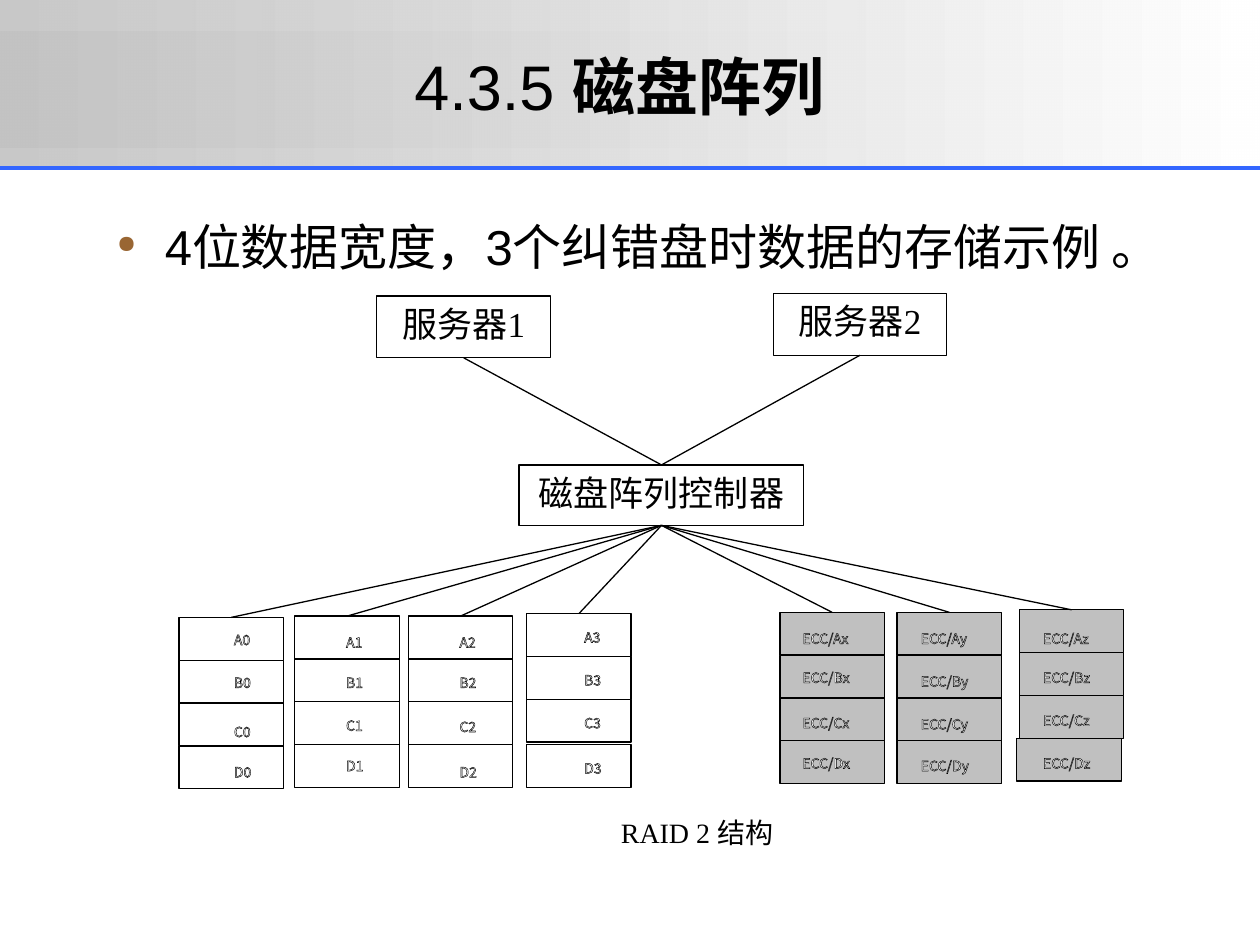
from lxml import etree
from pptx import Presentation
from pptx import util as u
from pptx.dml.color import RGBColor
from pptx.enum import shapes, text
from pptx.oxml.ns import qn

COLORS = {"ink": "000000", "paper": "FFFFFF", "gray": "C0C0C0",
          "rule": "3366FF", "bullet": "996633"}
WIDTH, HEIGHT = 10, 7.5

# Bands of the header: top, height, opacity of the gray end in percent
BANDS = [(0, 1.33, 86), (0.25, 0.92, 59)]
TITLE = [("4.3.5 ", False), ("磁盘阵列", True)]
BODY = "4位数据宽度，3个纠错盘时数据的存储示例 。"
CAPTION = "RAID 2 结构"

CONTROLLER = ("磁盘阵列控制器", (4.12, 3.69, 2.26, 0.48))
SERVERS = [("服务器1", (2.99, 2.35, 1.38, 0.49)),
           ("服务器2", (6.14, 2.33, 1.37, 0.49))]

# Disks: label pattern, fill, left, top, label centre, label tops
ROWS = "ABCD"
CELL_W, CELL_H = 0.83, 0.34
DISKS = [
    ("{}0", "paper", 1.42, 4.90, 1.87, (4.96, 5.30, 5.69, 6.01)),
    ("{}1", "paper", 2.34, 4.89, 2.76, (4.98, 5.30, 5.64, 5.96)),
    ("{}2", "paper", 3.24, 4.89, 3.66, (4.98, 5.30, 5.65, 6.01)),
    ("{}3", "paper", 4.18, 4.87, 4.65, (4.94, 5.28, 5.62, 5.98)),
    ("ECC/{}x", "gray", 6.19, 4.86, 6.60, (4.95, 5.26, 5.62, 5.94)),
    ("ECC/{}y", "gray", 7.12, 4.86, 7.54, (4.95, 5.29, 5.63, 5.96)),
    ("ECC/{}z", "gray", 8.09, 4.84, 8.51, (4.95, 5.26, 5.60, 5.94)),
]
NUDGES = {"D3": (0, 0.02), "ECC/Dz": (-0.02, 0)}


def rgb(name):
    return RGBColor.from_string(COLORS[name])


def inches(values):
    return [u.Inches(value) for value in values]


def add_child(parent, tag, **attributes):
    return etree.SubElement(parent, qn(tag), attributes)


def write(box, spans, size, face, color="ink", align=None, wrap=True, grow=False):
    """Write one paragraph of (words, bold) spans into a box."""
    frame = box.text_frame
    fit = text.MSO_AUTO_SIZE
    settings = {"word_wrap": wrap, "vertical_anchor": text.MSO_ANCHOR.TOP,
                "auto_size": fit.SHAPE_TO_FIT_TEXT if grow else fit.NONE}
    for key, value in settings.items():
        setattr(frame, key, value)
    para = frame.paragraphs[0]
    para.alignment = align or text.PP_ALIGN.LEFT
    for words, bold in spans:
        span = para.add_run()
        span.text = words
        for key, value in {"size": u.Pt(size), "name": face, "bold": bold}.items():
            setattr(span.font, key, value)
        span.font.color.rgb = rgb(color)
    return para


def add_text(page, place, spans, size, face, **options):
    return write(page.shapes.add_textbox(*inches(place)), spans, size, face, **options)


def add_rect(page, place, fill):
    box = page.shapes.add_shape(shapes.MSO_SHAPE.RECTANGLE, *inches(place))
    box.shadow.inherit = False
    box.fill.solid()
    box.fill.fore_color.rgb = rgb(fill)
    box.line.color.rgb = rgb("ink")
    box.line.width = u.Pt(0.75)
    return box


def add_line(page, start, end, color="ink", width=0.75):
    line = page.shapes.add_connector(shapes.MSO_CONNECTOR.STRAIGHT,
                                     *inches((*start, *end)))
    line.line.color.rgb = rgb(color)
    line.line.width = u.Pt(width)
    add_child(line._element.spPr, "a:effectLst")


def add_band(page, top, height, opacity):
    band = add_rect(page, (0, top, WIDTH, height), "gray")
    band.line.fill.background()
    band.fill.gradient()
    band.fill.gradient_angle = 0
    for stop, color, position in zip(band.fill.gradient_stops, ("gray", "paper"), (0, 1)):
        stop.color.rgb = rgb(color)
        stop.position = position
    first = band._element.spPr.find(".//" + qn("a:srgbClr"))
    add_child(first, "a:alpha", val=str(opacity * 1000))


def add_label(page, words, center, top):
    """Add white lettering with a thin dark outline."""
    width = 0.66 if words.startswith("ECC") else 0.17
    para = add_text(page, (center - width / 2, top, width, 0.16), [(words, False)],
                    8, "Noto Sans CJK SC", color="paper", wrap=False)
    properties = para.runs[0].font._element
    outline = add_child(properties, "a:ln", w=str(u.Pt(0.75)))
    add_child(add_child(outline, "a:solidFill"), "a:srgbClr", val=COLORS["ink"])
    properties.insert(0, outline)


def add_disk(page, pattern, fill, left, top, center, label_tops):
    for row, (letter, label_top) in enumerate(zip(ROWS, label_tops)):
        words = pattern.format(letter)
        dx, dy = NUDGES.get(words, (0, 0))
        add_rect(page, (left + dx, top + row * CELL_H + dy, CELL_W, CELL_H), fill)
        add_label(page, words, center, label_top)


def add_node(page, words, place):
    write(add_rect(page, place, "paper"), [(words, False)], 20, "Times New Roman",
          align=text.PP_ALIGN.CENTER)


def add_body(page):
    para = add_text(page, (0.83, 1.67, 8.25, 4.95), [(BODY, False)], 28, "Arial")
    properties = para._p.get_or_add_pPr()
    indent = u.Inches(0.38)
    properties.set("marL", str(indent))
    properties.set("indent", str(-indent))
    add_child(add_child(properties, "a:buClr"), "a:srgbClr", val=COLORS["bullet"])
    add_child(properties, "a:buSzPct", val="50000")
    add_child(properties, "a:buChar", char="●")


def main():
    deck = Presentation()
    deck.slide_width, deck.slide_height = inches((WIDTH, HEIGHT))
    page = deck.slides.add_slide(deck.slide_layouts[6])

    for band in BANDS:
        add_band(page, *band)
    add_line(page, (0, 1.33), (WIDTH, 1.33), "rule", 2.25)
    add_text(page, (1, 0.33, 7.83, 0.7), TITLE, 36, "Arial",
             align=text.PP_ALIGN.CENTER, grow=True)

    add_node(page, *CONTROLLER)
    left, top, width, height = CONTROLLER[1]
    hub = left + width / 2
    for words, place in SERVERS:
        add_node(page, words, place)
        x, y, w, h = place
        add_line(page, (x + w / 2, y + h), (hub, top))
    for disk in DISKS:
        add_disk(page, *disk)
        add_line(page, (disk[2] + CELL_W / 2, disk[3]), (hub, top + height))

    add_body(page)
    add_text(page, (4.83, 6.42, 1.42, 0.64), [(CAPTION, False)], 16,
             "Times New Roman", grow=True)
    deck.save("out.pptx")


if __name__ == "__main__":
    main()
